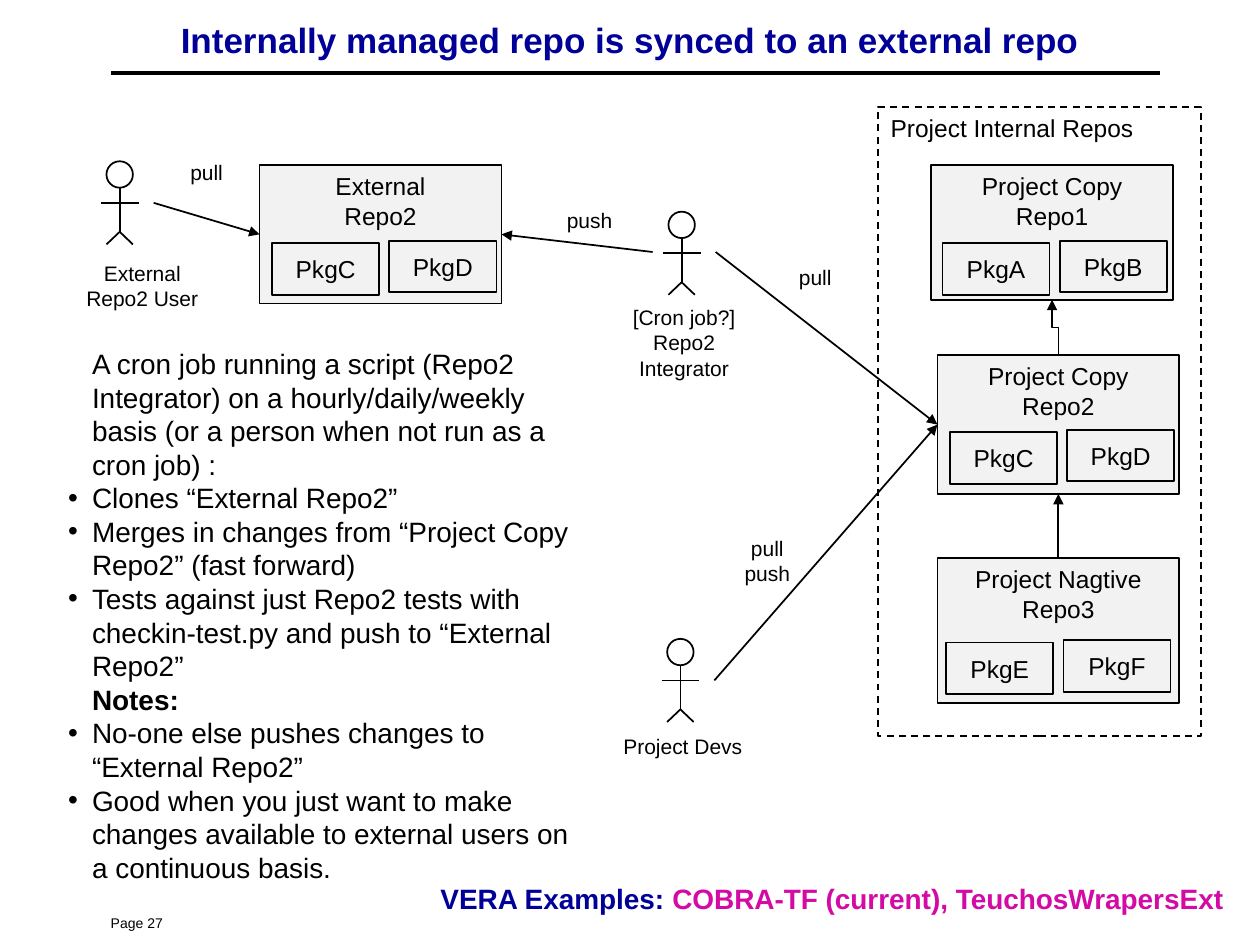
from pptx import Presentation
from pptx.dml.color import RGBColor as Rgb
from pptx.enum.dml import MSO_LINE as Dash
from pptx.enum.shapes import MSO_CONNECTOR as Link, MSO_SHAPE as Form
from pptx.enum.text import MSO_ANCHOR as Anchor, MSO_AUTO_SIZE as Fit, PP_ALIGN as Align
from pptx.oxml.ns import qn
from pptx.util import Inches, Pt
from lxml.etree import SubElement as Sub

HUES = {"ink": "000000", "navy": "000099", "pink": "D30AA5", "box": "F2F2F2"}


class Board:
    font = "Arial"

    def __init__(self, deck):
        self.slide = deck.slides.add_slide(deck.slide_layouts[1])
        self.shapes = self.slide.shapes

    def hue(self, name):
        return Rgb.from_string(HUES[name])

    def style(self, font, size, hue="ink", bold=False):
        font.name, font.size, font.bold = self.font, Pt(size), bold
        font.color.rgb = self.hue(hue)

    def place(self, shape, left, top, width, height):
        shape.left, shape.top = Inches(left), Inches(top)
        shape.width, shape.height = Inches(width), Inches(height)

    def words(self, frame, text, size, align=Align.CENTER, anchor=Anchor.TOP):
        frame.word_wrap, frame.vertical_anchor = True, anchor
        for i, line in enumerate(text.split("\n")):
            para = frame.add_paragraph() if i else frame.paragraphs[0]
            para.text, para.alignment = line, align
            self.style(para.font, size)

    def title(self, text, *area):
        shape = self.shapes.title
        self.place(shape, *area)
        frame = shape.text_frame
        frame.auto_size = Fit.NONE
        self.words(frame, text, 20, anchor=Anchor.MIDDLE)
        self.style(frame.paragraphs[0].font, 20, "navy", True)

    def list(self, items, *area):
        shape = self.slide.placeholders[1]
        self.place(shape, *area)
        frame = shape.text_frame
        frame.auto_size, frame.word_wrap = Fit.NONE, True
        for i, (kind, text) in enumerate(items):
            para = frame.add_paragraph() if i else frame.paragraphs[0]
            para.text = text
            para.space_before = Pt(0)
            props = para._p.get_or_add_pPr()
            dot = kind == "dot"
            props.set("marL", str(Inches(0.19)))
            props.set("indent", str(Inches(-0.19 if dot else 0)))
            if dot:
                Sub(props, qn("a:buChar"), char="•")
            else:
                Sub(props, qn("a:buNone"))
            self.style(para.font, 16, bold=kind == "head")

    def label(self, text, left, top, width=1.34, height=0.3, size=12, align=Align.CENTER):
        box = self.shapes.add_textbox(*map(Inches, (left, top, width, height)))
        self.words(box.text_frame, text, size, align)

    def credit(self, parts, *area):
        box = self.shapes.add_textbox(*map(Inches, area))
        box.text_frame.word_wrap = True
        para = box.text_frame.paragraphs[0]
        para.alignment = Align.RIGHT
        for text, hue in parts:
            run = para.add_run()
            run.text = text
            self.style(run.font, 16, hue, True)

    def shape(self, form, area, fill=None, home=None):
        shape = (home or self.shapes).add_shape(form, *map(Inches, area))
        shape.shadow.inherit = False
        if fill:
            shape.fill.solid()
            shape.fill.fore_color.rgb = self.hue(fill)
        else:
            shape.fill.background()
        shape.line.color.rgb = self.hue("ink")
        shape.line.width = Pt(1)
        return shape

    def box(self, text, *area, anchor=Anchor.TOP):
        shape = self.shape(Form.RECTANGLE, area, "box")
        self.words(shape.text_frame, text, 14, anchor=anchor)
        return shape

    def repo(self, text, area, first, second, left, top):
        shape = self.box(text, *area)
        self.box(first, left, top, 0.85, 0.41, anchor=Anchor.MIDDLE)
        self.box(second, left + 0.93, top - 0.02, 0.85, 0.41, anchor=Anchor.MIDDLE)
        return shape

    def frame(self, text, *area):
        shape = self.shape(Form.RECTANGLE, area)
        shape.line.dash_style = Dash.DASH
        self.words(shape.text_frame, text, 14, Align.LEFT)

    def line(self, x1, y1, x2, y2, width=1, head=False, kind=Link.STRAIGHT, home=None):
        link = (home or self.shapes).add_connector(kind, *map(Inches, (x1, y1, x2, y2)))
        link.line.color.rgb = self.hue("ink")
        link.line.width = Pt(width)
        props = link._element.spPr
        if head:
            Sub(props.find(qn("a:ln")), qn("a:tailEnd"), type="triangle")
        Sub(props, qn("a:effectLst"))
        return link

    def arrow(self, x, y, goal, side):
        link = self.line(x, y, x, y, head=True)
        link.end_connect(goal, side)

    def elbow(self, x1, y1, x2, y2):
        mid, row = (x1 + x2) / 2, (y1 + y2) / 2
        run, rise = (y1 - y2) / 2, (x1 - x2) / 2
        link = self.line(mid - run, row + rise, mid + run, row - rise, head=True, kind=Link.ELBOW)
        link._element.spPr.find(qn("a:xfrm")).set("rot", str(270 * 60000))

    def actor(self, x, top):
        home = self.shapes.add_group_shape().shapes
        self.shape(Form.OVAL, (x - 0.105, top, 0.21, 0.21), home=home)
        hip = top + 0.56
        self.line(x, top + 0.21, x, hip, home=home)
        self.line(x - 0.15, top + 0.33, x + 0.15, top + 0.33, home=home)
        for foot in (-0.105, 0.105):
            self.line(x, hip, x + foot, hip + 0.1, home=home)


def main():
    deck = Presentation()
    deck.slide_width, deck.slide_height = Inches(10), Inches(7.5)
    board = Board(deck)

    board.line(0.88, 0.58, 9.21, 0.58, width=2)
    board.label("Page 27", 0.78, 7.21, 2.08, 0.22, 8, Align.LEFT)
    board.title("Internally managed repo is synced to an external repo", 0.75, 0.1, 8.5, 0.42)

    outer = board.repo("External\nRepo2", (2.06, 1.31, 1.92, 1.1), "PkgC", "PkgD", 2.16, 1.93)
    board.repo("Project Nagtive\nRepo3", (7.44, 4.43, 1.92, 1.15), "PkgE", "PkgF", 7.51, 5.1)
    board.repo("Project Copy\nRepo1", (7.39, 1.31, 1.92, 1.07), "PkgA", "PkgB", 7.48, 1.93)
    inner = board.repo("Project Copy\nRepo2", (7.44, 2.82, 1.92, 1.1), "PkgC", "PkgD", 7.54, 3.43)
    board.frame("Project Internal Repos", 6.97, 0.85, 2.56, 4.99)

    board.elbow(8.4, 2.82, 8.35, 2.38)
    board.elbow(8.4, 4.43, 8.4, 3.92)
    board.arrow(1.22, 1.61, outer, 1)
    board.arrow(5.18, 2, outer, 3)
    board.arrow(5.68, 2, inner, 1)
    board.arrow(5.67, 5.4, inner, 1)

    for x, top in ((0.95, 1.28), (5.41, 1.68), (5.4, 5.07)):
        board.actor(x, top)

    board.label("External Repo2 User", 0.46, 2.02, height=0.5)
    board.label("[Cron job?]\nRepo2 Integrator", 4.76, 2.37, height=0.7)
    board.label("Project Devs", 4.75, 5.77)
    board.label("pull", 0.97, 1.22)
    board.label("push", 4.01, 1.6)
    board.label("pull", 5.8, 2.05)
    board.label("pull\npush", 5.42, 4.2, height=0.5)

    board.list((
        ("text", "A cron job running a script (Repo2 Integrator) on a hourly/daily/weekly "
                 "basis (or a person when not run as a cron job) :"),
        ("dot", "Clones “External Repo2”"),
        ("dot", "Merges in changes from “Project Copy Repo2” (fast forward)"),
        ("dot", "Tests against just Repo2 tests with checkin-test.py and push to “External Repo2”"),
        ("head", "Notes:"),
        ("dot", "No-one else pushes changes to “External Repo2”"),
        ("dot", "Good when you just want to make changes available to external users "
                "on a continuous basis."),
    ), 0.44, 2.7, 4.25, 4.36)
    board.credit((("VERA Examples: ", "navy"),
                  ("COBRA-TF (current), TeuchosWrapersExt", "pink")), 3.1, 6.95, 6.71, 0.37)
    deck.save("out.pptx")


if __name__ == "__main__":
    main()
